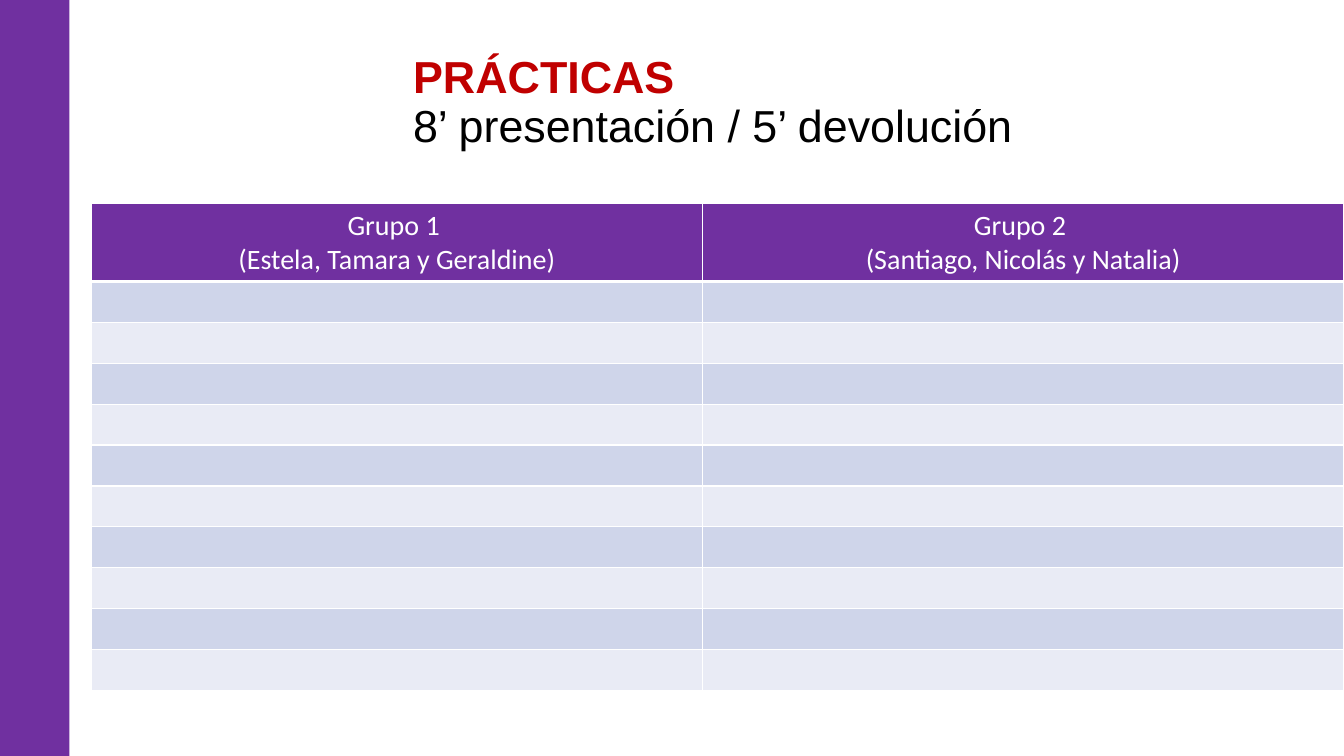
import pptx
import pptx.util
import pptx.dml.color
import pptx.enum.shapes
import pptx.enum.text
import pptx.oxml.ns
import lxml.etree

RGB = pptx.dml.color.RGBColor
PURPLE = RGB(0x70, 0x30, 0xA0)
RED = RGB(0xC0, 0x00, 0x00)
BLACK = RGB(0x00, 0x00, 0x00)
WHITE = RGB(0xFF, 0xFF, 0xFF)
BAND_DARK = RGB(0xCF, 0xD5, 0xEA)
BAND_LIGHT = RGB(0xE9, 0xEB, 0xF5)

PX = 9525  # EMU per px, 96 px to the inch
SLIDE_W, SLIDE_H = 1280, 720

GROUPS = [
    ("Grupo 1 ", "(Estela, Tamara y Geraldine)"),
    ("Grupo 2 ", "(Santiago, Nicolás y Natalia)"),
]
COL_WIDTHS = [582, 611]
HEADER_H, ROW_H, BODY_ROWS = 74, 39, 10


def px(*lengths):
    return [pptx.util.Emu(n * PX) for n in lengths]


def set_font(font, color, **values):
    for name, value in values.items():
        setattr(font, name, value)
    font.color.rgb = color


def set_borders(cell, widths):
    tcPr = cell._tc.get_or_add_tcPr()
    for side, width in widths.items():
        ln = lxml.etree.SubElement(tcPr, pptx.oxml.ns.qn(f"a:ln{side}"))
        ln.set("w", str(pptx.util.Pt(width)))
        fill = lxml.etree.SubElement(ln, pptx.oxml.ns.qn("a:solidFill"))
        color = lxml.etree.SubElement(fill, pptx.oxml.ns.qn("a:srgbClr"))
        color.set("val", str(WHITE))


def add_side_bar(slide, x, y, w, h):
    sp = slide.shapes.add_shape(
        pptx.enum.shapes.MSO_SHAPE.RECTANGLE, *px(x, y, w, h))
    sp.shadow.inherit = False
    sp.fill.solid()
    sp.fill.fore_color.rgb = PURPLE
    sp.line.fill.background()


def add_title(slide, x, y, w, h):
    tf = slide.shapes.add_textbox(*px(x, y, w, h)).text_frame
    tf.word_wrap = True
    tf.vertical_anchor = pptx.enum.text.MSO_ANCHOR.MIDDLE
    p = tf.paragraphs[0]
    p.line_spacing = 0.9
    fmt = {"name": "Arial", "size": pptx.util.Pt(32)}
    r = p.add_run()
    r.text = "PRÁCTICAS"
    set_font(r.font, RED, bold=True, **fmt)
    p.add_line_break()
    r = p.add_run()
    r.text = "8’ presentación / 5’ devolución"
    set_font(r.font, BLACK, bold=False, **fmt)


def add_group_table(slide, x, y):
    heights = [HEADER_H] + [ROW_H] * BODY_ROWS
    table = slide.shapes.add_table(
        len(heights), len(GROUPS),
        *px(x, y, sum(COL_WIDTHS), sum(heights))).table
    for column, width in zip(table.columns, COL_WIDTHS):
        column.width = px(width)[0]
    for row, height in zip(table.rows, heights):
        row.height = px(height)[0]

    # Fills and borders
    for i, row in enumerate(table.rows):
        band = BAND_DARK if i % 2 else BAND_LIGHT
        for cell in row.cells:
            set_borders(cell, {"L": 1, "R": 1, "T": 1, "B": 1 if i else 3})
            cell.fill.solid()
            cell.fill.fore_color.rgb = band if i else PURPLE

    # Header text
    for cell, lines in zip(table.rows[0].cells, GROUPS):
        cell.text = "\n".join(lines)
        for p in cell.text_frame.paragraphs:
            p.alignment = pptx.enum.text.PP_ALIGN.CENTER
            set_font(p.runs[0].font, WHITE, name="Calibri",
                     size=pptx.util.Pt(20), bold=False)


def main():
    prs = pptx.Presentation()
    prs.slide_width, prs.slide_height = px(SLIDE_W, SLIDE_H)
    slide = prs.slides.add_slide(prs.slide_layouts[6])
    add_title(slide, 384, 29, 808, 139)
    add_side_bar(slide, -1, -1, 67, SLIDE_H + 1)
    add_group_table(slide, 87, 194)
    prs.save("out.pptx")


if __name__ == "__main__":
    main()
